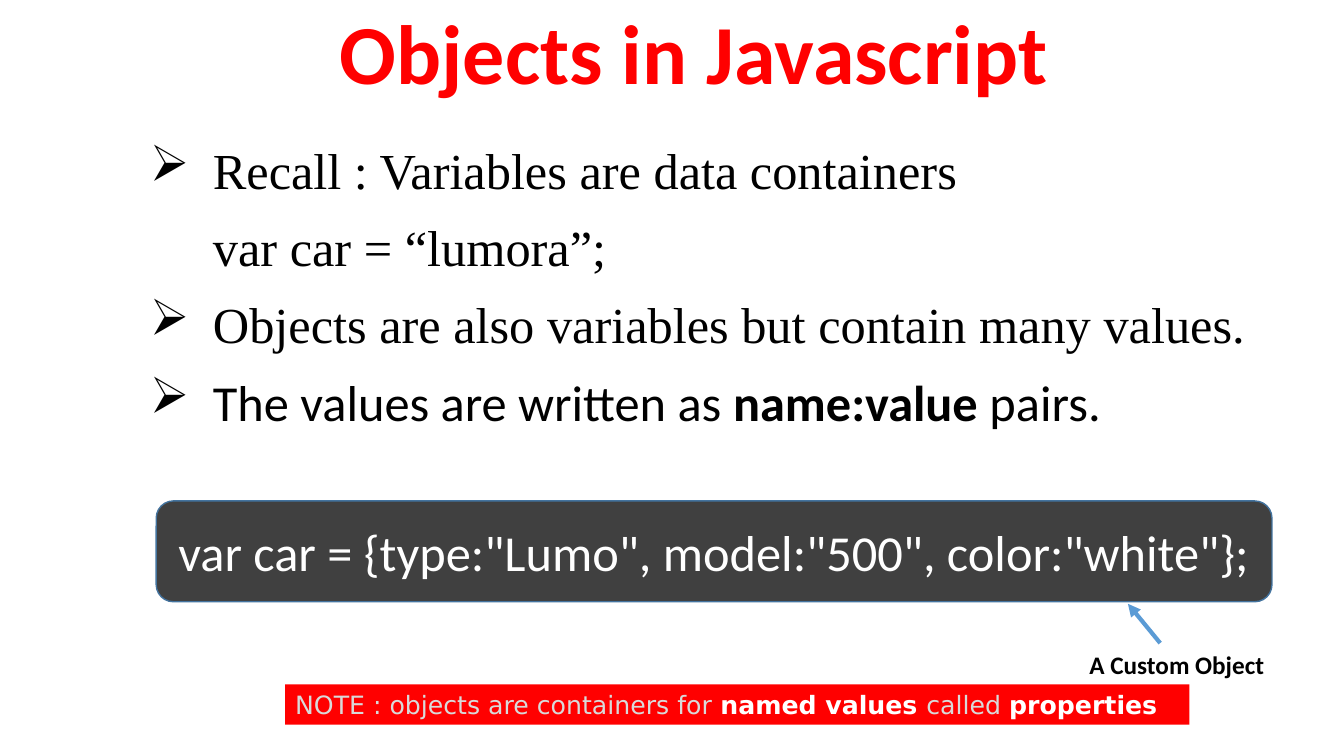
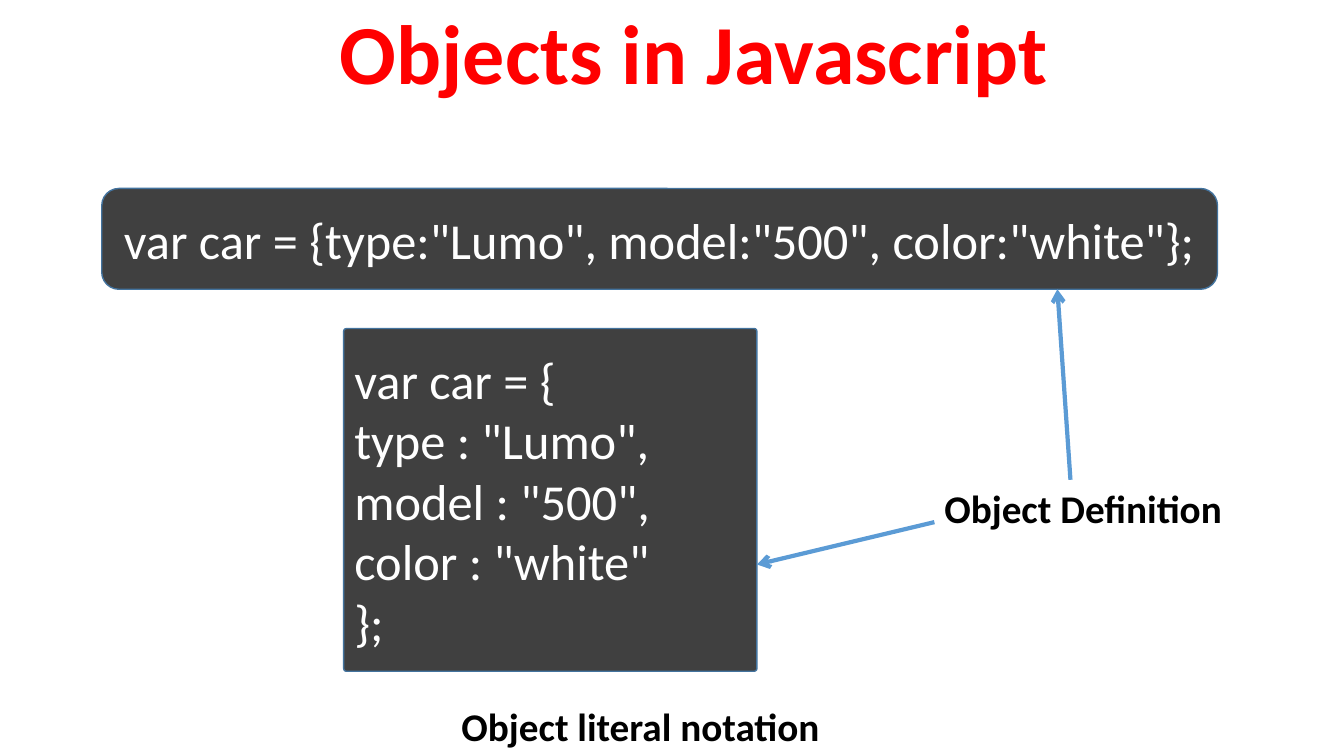
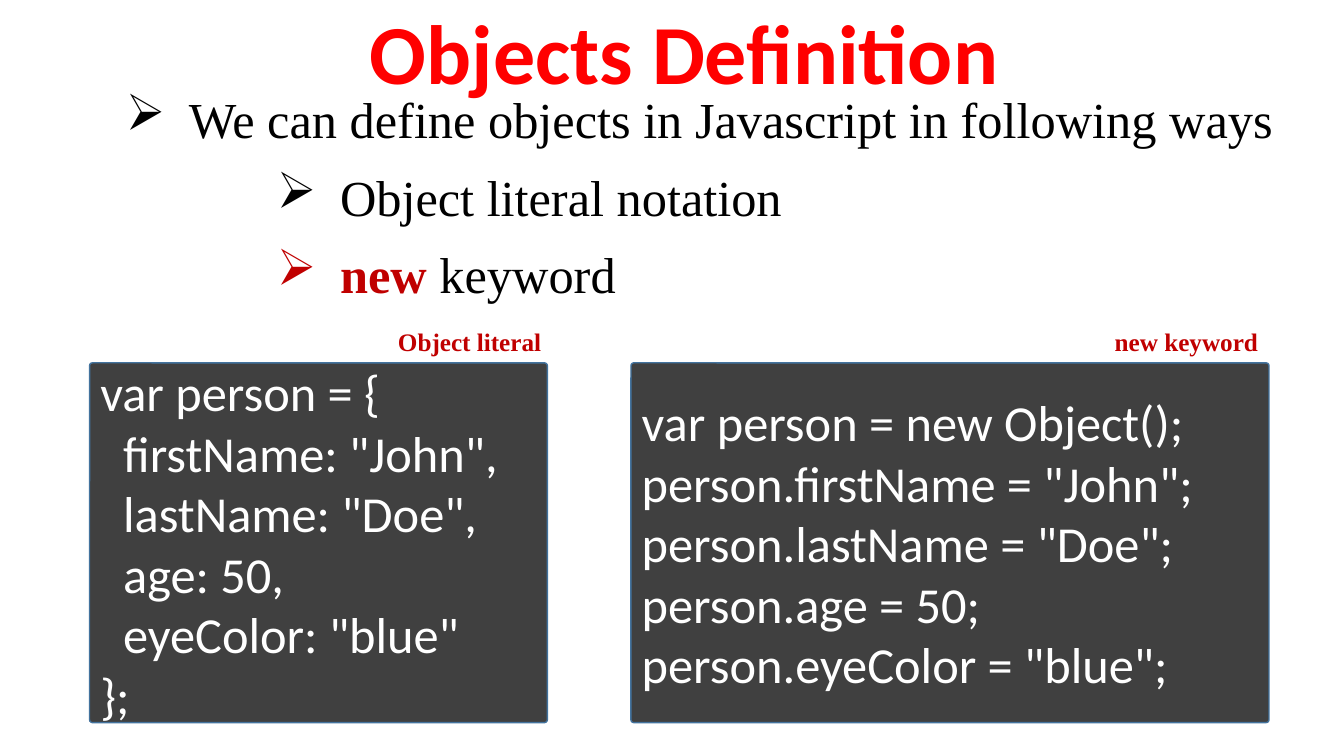
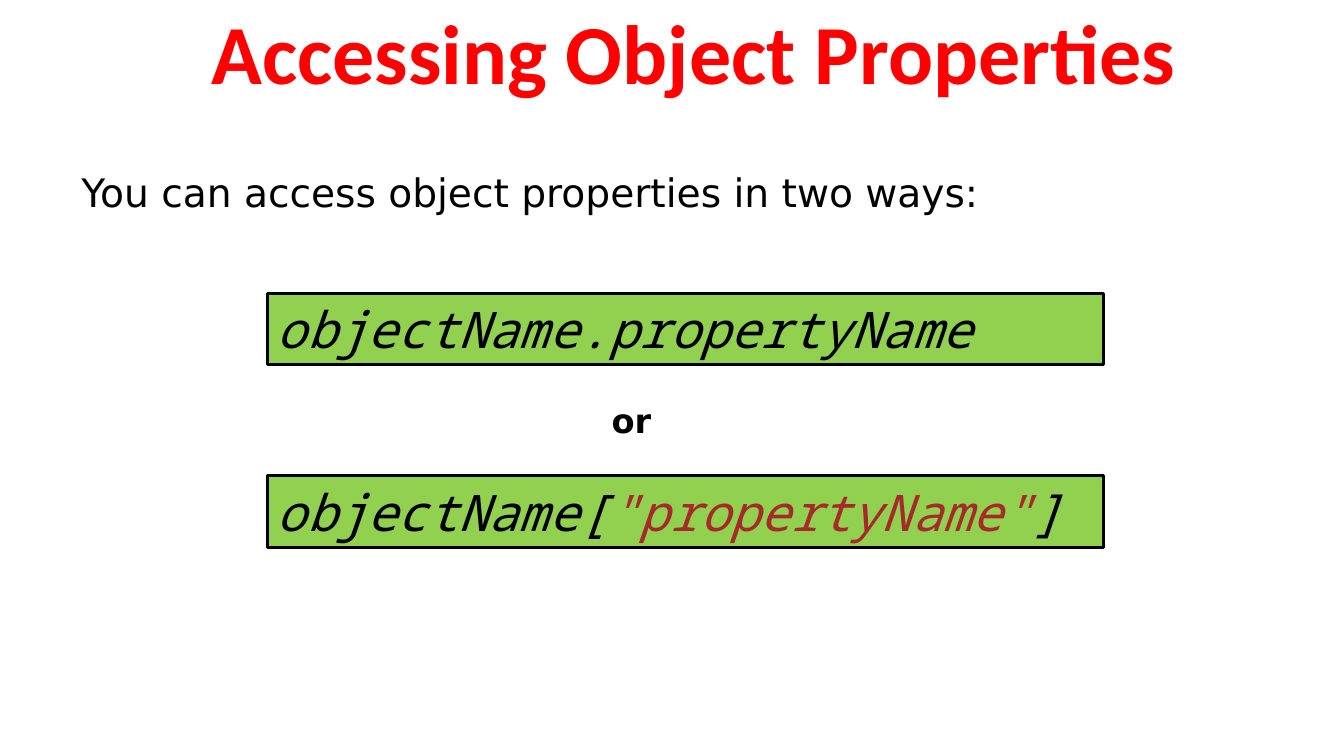
from lxml import etree
from pptx import Presentation
from pptx import util as u
from pptx.dml.color import RGBColor
from pptx.enum import shapes, text
from pptx.oxml import ns

COLORS = {
    "title": "FF0000", "black": "000000", "white": "FFFFFF", "muted": "D9D9D9",
    "panel": "404040", "panel_line": "43739E", "arrow": "5B9BD5",
    "keyword": "C00000", "green": "92D050", "string": "A52A2A",
}
SANS, SERIF, WIDE, MONO = "Calibri", "Times New Roman", "DejaVu Sans", "Noto Sans Mono"
HANGING = 45
CAR_LINE = 'var car = {type:"Lumo", model:"500", color:"white"};'


def rgb(name):
    """Return the named colour."""
    return RGBColor.from_string(COLORS[name])


class Deck:
    """Holds the shared style and the current slide."""

    def __init__(self):
        """Start a wide presentation."""
        self.presentation = Presentation()
        self.presentation.slide_width = u.Pt(960)
        self.presentation.slide_height = u.Pt(540)
        self.slide = None

    def new_slide(self, title):
        """Add a blank slide with the shared title."""
        self.slide = self.presentation.slides.add_slide(self.presentation.slide_layouts[6])
        box = self.label((64, 5, 856, 78), title, 60, color="title", bold=True)
        paragraph = box.text_frame.paragraphs[0]
        paragraph.alignment = text.PP_ALIGN.CENTER
        paragraph.line_spacing = 0.9

    def add_runs(self, paragraph, content, size, font=SANS, color="black", bold=False,
                 italic=False):
        """Fill a paragraph from a string or (text, overrides) pairs."""
        pairs = [(content, {})] if isinstance(content, str) else content
        for words, changes in pairs:
            style = {"color": color, "bold": bold, **changes}
            run = paragraph.add_run()
            run.text = words
            run.font.size = u.Pt(size)
            run.font.name = font
            run.font.bold = style["bold"]
            run.font.italic = italic
            run.font.color.rgb = rgb(style["color"])

    def label(self, place, content, size, **style):
        """Add a text box with one paragraph."""
        box = self.slide.shapes.add_textbox(*map(u.Pt, place))
        box.text_frame.word_wrap = True
        box.text_frame.margin_right = 0
        self.add_runs(box.text_frame.paragraphs[0], content, size, **style)
        return box

    def bullets(self, place, items):
        """Add a list of (content, left margin, has bullet, font) items."""
        box = self.slide.shapes.add_textbox(*map(u.Pt, place))
        frame = box.text_frame
        frame.word_wrap = True
        for index, (content, margin, has_bullet, font) in enumerate(items):
            paragraph = frame.add_paragraph() if index else frame.paragraphs[0]
            self.add_runs(paragraph, content, 36, font=font)
            paragraph.space_after = u.Pt(12)
            properties = paragraph._p.get_or_add_pPr()
            properties.set("marL", str(u.Pt(margin)))
            properties.set("indent", str(u.Pt(-HANGING if has_bullet else 0)))
            if has_bullet:
                etree.SubElement(properties, ns.qn("a:buFont"), typeface="Wingdings")
                etree.SubElement(properties, ns.qn("a:buChar"), char="\u00d8")

    def block(self, place, fill, line=None, width=1, kind=shapes.MSO_SHAPE.RECTANGLE):
        """Add a filled shape ready for left-aligned text."""
        shape = self.slide.shapes.add_shape(kind, *map(u.Pt, place))
        shape.shadow.inherit = False
        shape.fill.solid()
        shape.fill.fore_color.rgb = rgb(fill)
        if line:
            shape.line.color.rgb = rgb(line)
            shape.line.width = u.Pt(width)
        else:
            shape.line.fill.background()
        shape.text_frame.word_wrap = True
        shape.text_frame.vertical_anchor = text.MSO_ANCHOR.TOP
        shape.text_frame.paragraphs[0].alignment = text.PP_ALIGN.LEFT
        return shape

    def code(self, place, lines, corner=0.008, align=text.PP_ALIGN.LEFT, inner_indent=0):
        """Add a dark code panel; lines between first and last are indented."""
        panel = self.block(place, "panel", "panel_line",
                           kind=shapes.MSO_SHAPE.ROUNDED_RECTANGLE)
        panel.adjustments[0] = corner
        frame = panel.text_frame
        frame.vertical_anchor = text.MSO_ANCHOR.MIDDLE
        for index, line in enumerate(lines):
            paragraph = frame.add_paragraph() if index else frame.paragraphs[0]
            paragraph.alignment = align
            self.add_runs(paragraph, line, 36, color="white")
            if inner_indent and 0 < index < len(lines) - 1:
                paragraph._p.get_or_add_pPr().set("marL", str(u.Pt(inner_indent)))

    def car_code(self, left, top):
        """Add the one-line car definition."""
        self.code((left, top, 797, 72), [CAR_LINE], 0.17, text.PP_ALIGN.CENTER)

    def syntax(self, top, content):
        """Add a green bar with property syntax."""
        bar = self.block((190.8, top, 597.6, 51.12), "green", "black", 2.25)
        self.add_runs(bar.text_frame.paragraphs[0], content, 36, font=MONO, italic=True)

    def arrow(self, start, end, head):
        """Draw an arrow that points at its end."""
        connector = self.slide.shapes.add_connector(
            shapes.MSO_CONNECTOR.STRAIGHT, *map(u.Pt, start + end))
        connector.line.color.rgb = rgb("arrow")
        connector.line.width = u.Pt(3)
        properties = connector._element.spPr
        etree.SubElement(properties.find(ns.qn("a:ln")), ns.qn("a:tailEnd"), type=head)
        etree.SubElement(properties, ns.qn("a:effectLst"))


def variables_slide(deck):
    """Introduce objects as variables with many values."""
    deck.new_slide("Objects in Javascript")
    deck.bullets((100, 95.76, 820, 363.6), [
        ("Recall : Variables are data containers", HANGING, True, SERIF),
        ("var car = “lumora”;", HANGING, False, SERIF),
        ("Objects are also variables but contain many values.", HANGING, True, SERIF),
        ([("The values are written as ", {}), ("name:value ", {"bold": True}),
          ("pairs.", {})], HANGING, True, SANS),
    ])
    deck.car_code(111.6, 357.84)
    deck.arrow((828.72, 459.36), (805.68, 431.28), "triangle")
    deck.label((771.12, 460.08, 140.4, 28.8), "A Custom Object", 18, bold=True)
    note = deck.block((203.76, 488.88, 645.84, 28.8), "title")
    strong = {"color": "white", "bold": True}
    deck.add_runs(note.text_frame.paragraphs[0], [
        ("NOTE : objects are containers for ", {}), ("named values ", strong),
        ("called ", {}), ("properties", strong),
    ], 18, font=WIDE, color="muted")


def literal_slide(deck):
    """Show the two layouts of an object literal."""
    deck.new_slide("Objects in Javascript")
    deck.car_code(72.72, 134.64)
    deck.code((245.52, 234.72, 295.2, 244.8), [
        "var car = {", 'type : "Lumo",', 'model : "500",', 'color : "white"', "};"])
    deck.label((667.44, 342.72, 215.28, 41), "Object Definition", 28, bold=True)
    deck.arrow((764.64, 342.72), (755.28, 206.64), "arrow")
    deck.arrow((667.44, 372.96), (540.72, 403.2), "arrow")
    deck.label((322.56, 498.24, 273.6, 41), "Object literal notation", 28, bold=True)


def definition_slide(deck):
    """Compare the literal with the new keyword."""
    deck.new_slide("Objects Definition ")
    nested = 153
    deck.bullets((82.8, 59.76, 837.36, 162.72), [
        ("We can define objects in Javascript in following ways", HANGING, True, SERIF),
        ("Object literal notation", nested, True, SERIF),
        ([("new ", {"color": "keyword", "bold": True}), ("keyword", {})],
         nested, True, SERIF),
    ])
    deck.code((64, 259.2, 327, 257), [
        "var person = {", 'firstName: "John",', 'lastName: "Doe",',
        "age: 50,", 'eyeColor: "blue"', "};"], inner_indent=16.3)
    deck.code((450.72, 259.2, 455.76, 257), [
        "var person = new Object();", 'person.firstName = "John";',
        'person.lastName = "Doe";', "person.age = 50;", 'person.eyeColor = "blue";'])
    for left, width, caption in ((277.2, 122.4, "Object literal"),
                                 (789.12, 118, "new keyword")):
        deck.label((left, 229.68, width, 28.8), caption, 18,
                   font=SERIF, color="keyword", bold=True)


def access_slide(deck):
    """Show both ways to reach a property."""
    deck.new_slide("Accessing Object Properties")
    deck.syntax(209.52, "objectName.propertyName")
    deck.syntax(339.84, [("objectName[", {}), ('"propertyName"', {"color": "string"}),
                         ("]", {})])
    deck.label((51.12, 116.64, 669.6, 41), "You can access object properties in two ways:",
               28, font=WIDE)
    deck.label((429.84, 282.24, 43.2, 36), "or", 24, font=WIDE, bold=True)


def main():
    """Build and save the presentation."""
    deck = Deck()
    for build in (variables_slide, literal_slide, definition_slide, access_slide):
        build(deck)
    deck.presentation.save("out.pptx")


main()
